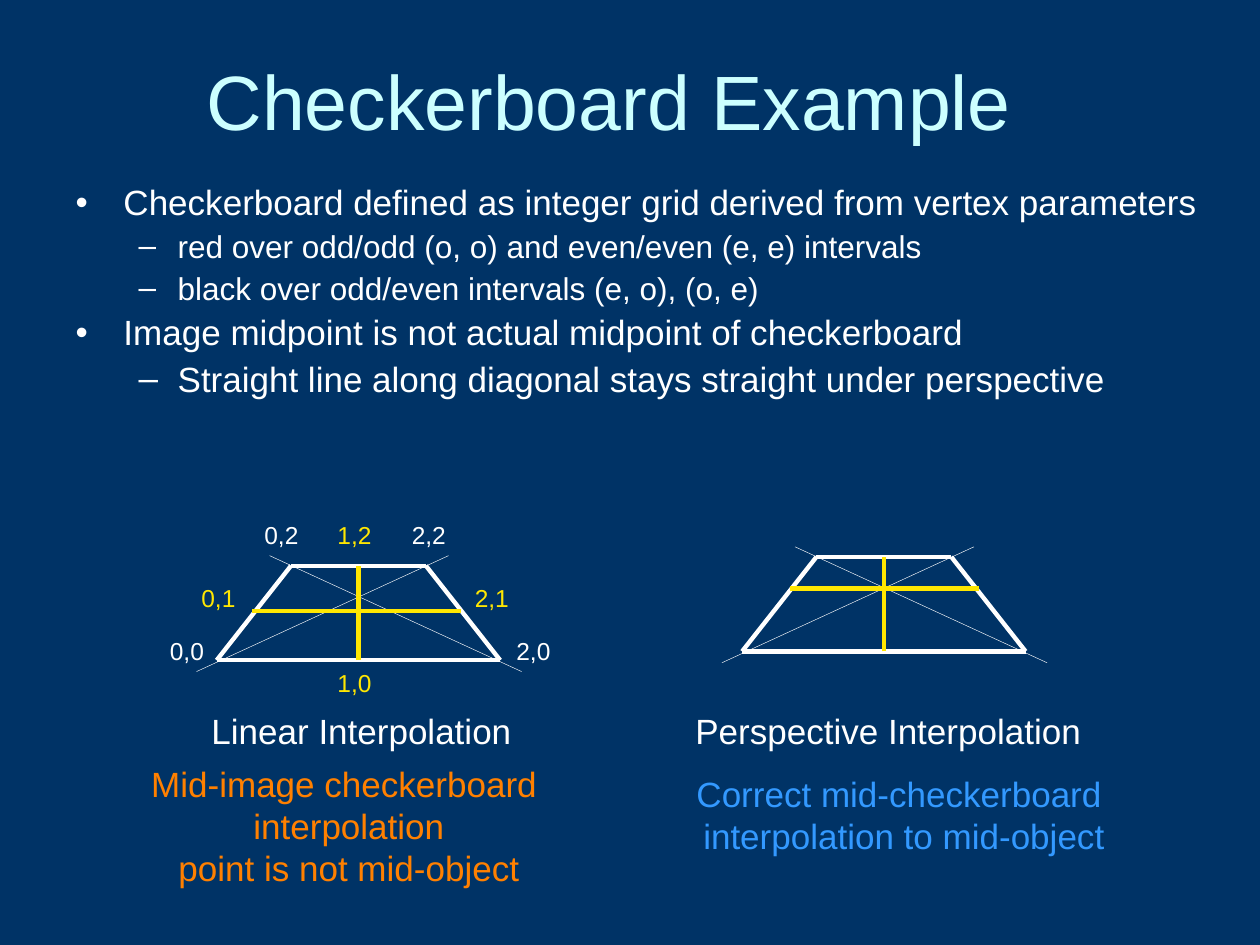
"""Build the slide comparing linear and perspective checkerboard interpolation."""
from dataclasses import dataclass

from lxml.etree import SubElement
from pptx import Presentation
from pptx.dml.color import RGBColor
from pptx.enum.shapes import MSO_CONNECTOR
from pptx.enum.text import MSO_ANCHOR, MSO_AUTO_SIZE, PP_ALIGN
from pptx.oxml.ns import qn
from pptx.util import Inches, Pt


@dataclass(frozen=True)
class Theme:
    font: str = "Arial"
    background: str = "003366"
    title: str = "CCFFFF"
    text: str = "FFFFFF"
    midline: str = "FFE701"
    wrong: str = "FF8000"
    correct: str = "3399FF"
    title_size: float = 44
    body_size: float = 20
    detail_size: float = 18
    label_size: float = 14
    edge_width: float = 2.5
    diagonal_width: float = 0.25


@dataclass(frozen=True)
class Bullet:
    text: str
    level: int
    size: float


@dataclass(frozen=True)
class Board:
    left: float
    top: float
    midline_depth: float
    midline_start: float
    midline_end: float


@dataclass(frozen=True)
class Label:
    text: str
    left: float
    top: float
    width: float
    height: float
    color: str
    size: float
    align: PP_ALIGN


THEME = Theme()
BULLET_MARKS = ("•", "–")
BULLET_INDENTS = ((0.38, 0.38), (0.81, 0.31))
BULLETS = (
    Bullet("Checkerboard defined as integer grid derived from vertex parameters", 0, THEME.body_size),
    Bullet("red over odd/odd (o, o) and even/even (e, e) intervals", 1, THEME.detail_size),
    Bullet("black over odd/even intervals (e, o), (o, e)", 1, THEME.detail_size),
    Bullet("Image midpoint is not actual midpoint of checkerboard", 0, THEME.body_size),
    Bullet("Straight line along diagonal stays straight under perspective", 1, THEME.body_size),
)
BOARD_WIDTH, BOARD_HEIGHT, BOARD_INSET = 2.25, 0.75, 0.59
BOARDS = (
    Board(1.72, 4.49, 0.36, 0.28, 1.94),
    Board(5.89, 4.42, 0.25, 0.38, 1.88),
)
CAPTIONS = (
    Label("Linear Interpolation", 1.58, 5.58, 2.62, 0.44,
          THEME.text, THEME.body_size, PP_ALIGN.LEFT),
    Label("Perspective Interpolation", 5.42, 5.58, 3.32, 0.44,
          THEME.text, THEME.body_size, PP_ALIGN.LEFT),
    Label("Mid-image checkerboard \ninterpolation\npoint is not mid-object", 1.07, 6, 3.4, 1.1,
          THEME.wrong, THEME.body_size, PP_ALIGN.CENTER),
    Label("Correct mid-checkerboard \ninterpolation to mid-object", 5.39, 6.08, 3.57, 0.77,
          THEME.correct, THEME.body_size, PP_ALIGN.CENTER),
)
VERTEX_POSITIONS = {
    "0,0": (1.25, 5), "2,2": (3.17, 4.08), "2,0": (4, 5), "0,2": (2, 4.08),
    "0,1": (1.5, 4.58), "2,1": (3.67, 4.58), "1,0": (2.58, 5.25), "1,2": (2.58, 4.08),
}


def style_runs(paragraph, size: float, color: str) -> None:
    """Apply the theme font with a size and colour to every run."""
    for run in paragraph.runs:
        run.font.name = THEME.font
        run.font.size = Pt(size)
        run.font.color.rgb = RGBColor.from_string(color)


def place(shape, left: float, top: float, width: float, height: float) -> None:
    """Move and size a shape in inches."""
    shape.left, shape.top = Inches(left), Inches(top)
    shape.width, shape.height = Inches(width), Inches(height)


def fill_title(title) -> None:
    """Write the slide title."""
    place(title, 0.42, 0.17, 9, 1.25)
    title.text_frame.text = "Checkerboard Example "
    title.text_frame.auto_size = MSO_AUTO_SIZE.NONE
    title.text_frame.vertical_anchor = MSO_ANCHOR.MIDDLE
    heading = title.text_frame.paragraphs[0]
    heading.alignment = PP_ALIGN.CENTER
    style_runs(heading, THEME.title_size, THEME.title)


def add_bullet_mark(paragraph, level: int) -> None:
    """Give a paragraph its hanging indent and bullet character."""
    margin, hanging = BULLET_INDENTS[level]
    properties = paragraph._p.get_or_add_pPr()
    properties.set("marL", str(Inches(margin)))
    properties.set("indent", str(-Inches(hanging)))
    mark_color = SubElement(properties, qn("a:buClr"))
    SubElement(mark_color, qn("a:srgbClr"), val=THEME.text)
    SubElement(properties, qn("a:buFont"), typeface=THEME.font)
    SubElement(properties, qn("a:buChar"), char=BULLET_MARKS[level])


def fill_body(body) -> None:
    """Write the two-level bullet list."""
    place(body, 0.5, 1.42, 9.25, 2)
    frame = body.text_frame
    frame.auto_size = MSO_AUTO_SIZE.NONE
    for index, bullet in enumerate(BULLETS):
        paragraph = frame.add_paragraph() if index else frame.paragraphs[0]
        paragraph.text = bullet.text
        paragraph.level = bullet.level
        add_bullet_mark(paragraph, bullet.level)
        paragraph.line_spacing = 0.9
        paragraph.space_before = Pt(bullet.size / 4 if index else 0)
        style_runs(paragraph, bullet.size, THEME.text)


def add_line(slide, start: tuple[float, float], end: tuple[float, float],
             color: str, width: float) -> None:
    """Draw a straight line without a shadow."""
    line = slide.shapes.add_connector(
        MSO_CONNECTOR.STRAIGHT, *(Inches(value) for value in (*start, *end)))
    line.line.color.rgb = RGBColor.from_string(color)
    line.line.width = Pt(width)
    SubElement(line._element.spPr, qn("a:effectLst"))


def draw_board(slide, board: Board) -> None:
    """Draw a board's outline, extended diagonals and midlines."""
    left, top = board.left, board.top
    right, bottom = left + BOARD_WIDTH, top + BOARD_HEIGHT
    corners = ((left + BOARD_INSET, top), (right - BOARD_INSET, top), (right, bottom), (left, bottom))
    for start, end in zip(corners, corners[1:] + corners[:1]):
        add_line(slide, start, end, THEME.text, THEME.edge_width)
    diagonal_top, diagonal_bottom = top - 0.08, bottom + 0.09
    for start, end in ((1.84, -0.16), (0.42, 2.42)):
        add_line(slide, (left + start, diagonal_top), (left + end, diagonal_bottom),
                 THEME.text, THEME.diagonal_width)
    depth, center = top + board.midline_depth, left + BOARD_WIDTH / 2
    add_line(slide, (left + board.midline_start, depth), (left + board.midline_end, depth),
             THEME.midline, THEME.edge_width)
    add_line(slide, (center, bottom), (center, top), THEME.midline, THEME.edge_width)


def add_label(slide, label: Label) -> None:
    """Add an unwrapped text label."""
    box = slide.shapes.add_textbox(
        *(Inches(value) for value in (label.left, label.top, label.width, label.height)))
    box.text_frame.word_wrap = False
    box.text_frame.auto_size = MSO_AUTO_SIZE.SHAPE_TO_FIT_TEXT
    paragraph = box.text_frame.paragraphs[0]
    paragraph.text = label.text
    paragraph.alignment = label.align
    style_runs(paragraph, label.size, label.color)


def main() -> None:
    """Assemble and save the slide."""
    deck = Presentation()
    deck.slide_width, deck.slide_height = Inches(10), Inches(7.5)
    slide = deck.slides.add_slide(deck.slide_layouts[1])
    slide.background.fill.solid()
    slide.background.fill.fore_color.rgb = RGBColor.from_string(THEME.background)
    fill_title(slide.shapes.title)
    fill_body(slide.placeholders[1])
    for board in BOARDS:
        draw_board(slide, board)
    for caption in CAPTIONS:
        add_label(slide, caption)
    for vertex, (left, top) in VERTEX_POSITIONS.items():
        color = THEME.midline if "1" in vertex else THEME.text
        add_label(slide, Label(vertex, left, top, 0.47, 0.34, color,
                               THEME.label_size, PP_ALIGN.JUSTIFY))
    deck.save("out.pptx")


if __name__ == "__main__":
    main()
